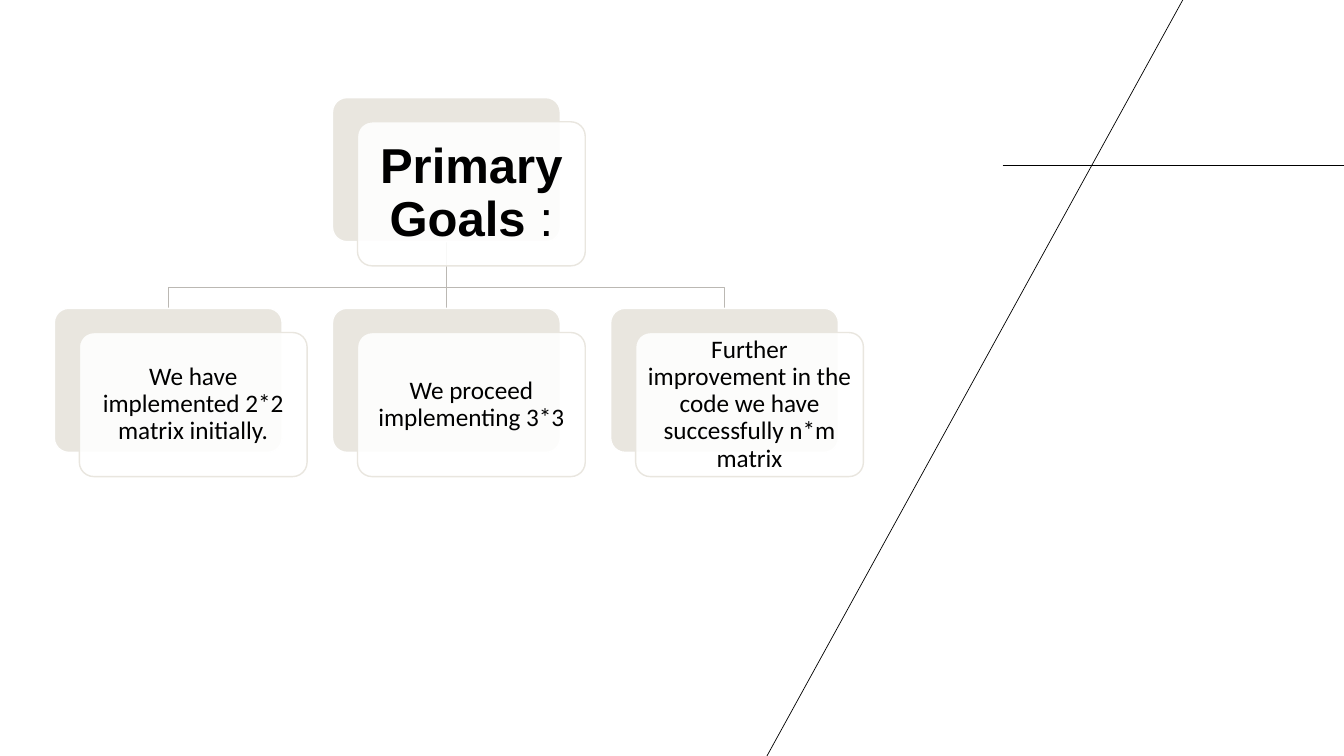
from lxml import etree
from pptx import Presentation
from pptx.dml.color import RGBColor
from pptx.enum.shapes import MSO_CONNECTOR, MSO_SHAPE
from pptx.enum.text import MSO_ANCHOR, MSO_AUTO_SIZE, PP_ALIGN
from pptx.oxml.ns import qn
from pptx.util import Cm, Pt

LINE = MSO_CONNECTOR.STRAIGHT
ROUND = MSO_SHAPE.ROUNDED_RECTANGLE
CENTER = PP_ALIGN.CENTER
MIDDLE = MSO_ANCHOR.MIDDLE
NO_FIT = MSO_AUTO_SIZE.NONE

# Content
ROOT = [("Primary Goals ", True), (":", False)]
GOALS = [
    "We have implemented 2*2 matrix initially.",
    "We proceed implementing 3*3",
    "Further improvement in the code we have successfully n*m matrix",
]
DECOR = [(25.27, 4.17, 33.87, 4.17), (29.85, -0.08, 19.3, 19.1)]

THEME = {
    "ink": RGBColor(0, 0, 0),
    "white": RGBColor(0xFF, 0xFF, 0xFF),
    "sand": RGBColor(0xE9, 0xE6, 0xDF),
    "link": RGBColor(0xBB, 0xB8, 0xB3),
    "root": {"name": "Arial", "size": Pt(35)},
    "goal": {"name": "Calibri", "size": Pt(18)},
}

# Grid in centimetres
WIDE, HIGH = 5.74, 3.63
LEFT, STEP = 1.37, 7.01
TOP, ROW = 2.46, 7.77
SHIFT_X, SHIFT_Y = 0.63, 0.61
INSET = 0.1

deck = Presentation()
deck.slide_width, deck.slide_height = Cm(33.87), Cm(19.05)
slide = deck.slides.add_slide(deck.slide_layouts[5])
shapes = slide.shapes


def stroke(shape, color, width):
    shape.line.color.rgb = THEME[color]
    shape.line.width = Pt(width)


def add_line(ends, color, width):
    line = shapes.add_connector(LINE, *[Cm(v) for v in ends])
    stroke(line, color, width)
    etree.SubElement(line._element.spPr, qn("a:effectLst"))


def add_elbow(points):
    pen, *rest = [(Cm(x), Cm(y)) for x, y in points]
    path = shapes.build_freeform(*pen)
    path.add_line_segments(rest, close=False)
    elbow = path.convert_to_shape()
    elbow.shadow.inherit = False
    elbow.fill.background()
    stroke(elbow, "link", 1)


def add_panel(x, y, fill, edge):
    panel = shapes.add_shape(ROUND, Cm(x), Cm(y), Cm(WIDE), Cm(HIGH))
    panel.adjustments[0] = 0.1
    panel.shadow.inherit = False
    panel.fill.solid()
    panel.fill.fore_color.rgb = THEME[fill]
    stroke(panel, edge, 1)
    return panel


def add_card(x, y):
    """Draw a back panel and a translucent front panel; return the text area."""
    add_panel(x, y, "sand", "white")
    x, y = x + SHIFT_X, y + SHIFT_Y
    front = add_panel(x, y, "white", "sand")
    color = front._element.spPr.find(qn("a:solidFill"))[0]
    etree.SubElement(color, qn("a:alpha"), val="90000")
    area = (x + INSET, y + INSET, WIDE - 2 * INSET, HIGH - 2 * INSET)
    return [Cm(v) for v in area]


def write(box, runs, style, margin):
    frame = box.text_frame
    form = {"word_wrap": True, "auto_size": NO_FIT, "vertical_anchor": MIDDLE}
    for side in ("left", "right", "top", "bottom"):
        form["margin_" + side] = Cm(margin)
    for key, value in form.items():
        setattr(frame, key, value)
    para = frame.paragraphs[0]
    para.alignment, para.line_spacing = CENTER, 0.9
    for text, bold in runs:
        run = para.add_run()
        run.text = text
        for key, value in {**THEME[style], "bold": bold}.items():
            setattr(run.font, key, value)
        run.font.color.rgb = THEME["ink"]


# Background lines
for ends in DECOR:
    add_line(ends, "ink", 0.5)

# Links from the root to each goal
lefts = [LEFT + i * STEP for i in range(len(GOALS))]
root_x = lefts[1]
hub, start, bend = root_x + WIDE / 2, TOP + HIGH, 7.24
for x in reversed(lefts):
    end = x + WIDE / 2
    if x == root_x:
        add_line((hub, start, hub, ROW), "link", 1)
    else:
        add_elbow([(hub, start), (hub, bend), (end, bend), (end, ROW)])

# Root card with the title
area = add_card(root_x, TOP)
title = shapes.title
title.left, title.top, title.width, title.height = area
shapes._spTree.append(title._element)
write(title, ROOT, "root", 0.38)

# Goal cards
for x, goal in zip(lefts, GOALS):
    box = shapes.add_textbox(*add_card(x, ROW))
    write(box, [(goal, False)], "goal", 0.18)

deck.save("out.pptx")
